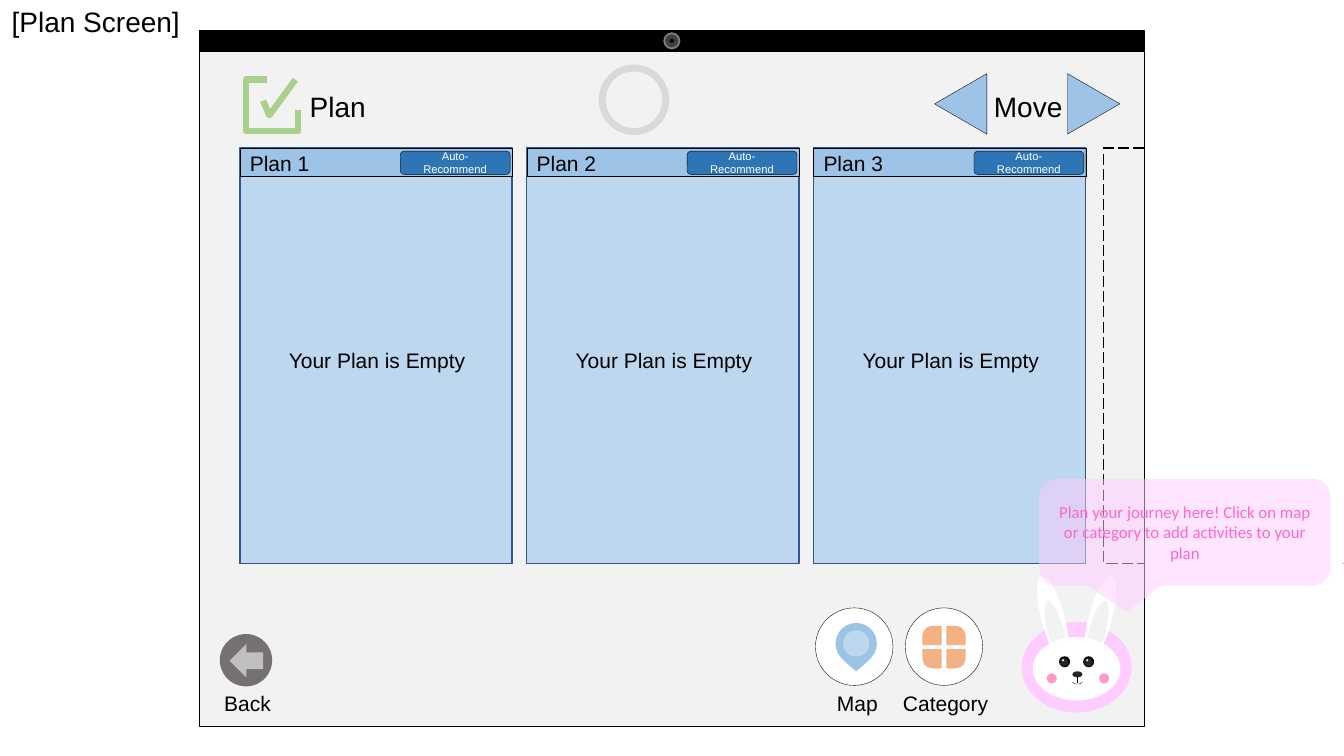
from dataclasses import dataclass

from lxml import etree
from pptx import Presentation
from pptx.dml.color import RGBColor
from pptx.enum.dml import MSO_LINE
from pptx.enum.shapes import MSO_CONNECTOR, MSO_SHAPE
from pptx.enum.text import MSO_ANCHOR, PP_ALIGN
from pptx.oxml.ns import qn
from pptx.util import Pt

RECT = MSO_SHAPE.RECTANGLE
OVAL = MSO_SHAPE.OVAL
ROUNDED = MSO_SHAPE.ROUNDED_RECTANGLE
TRIANGLE = MSO_SHAPE.ISOSCELES_TRIANGLE
LEFT_ARROW = MSO_SHAPE.LEFT_ARROW
ARC = MSO_SHAPE.ARC
TILE = MSO_SHAPE.ROUND_1_RECTANGLE
TEARDROP = MSO_SHAPE.TEAR
CALLOUT = MSO_SHAPE.ROUNDED_RECTANGULAR_CALLOUT
STRAIGHT = MSO_CONNECTOR.STRAIGHT
LONG_DASH = MSO_LINE.LONG_DASH
LEFT, CENTER = PP_ALIGN.LEFT, PP_ALIGN.CENTER
MIDDLE = MSO_ANCHOR.MIDDLE


@dataclass(frozen=True)
class Theme:
    black: str = "000000"
    white: str = "FFFFFF"
    screen: str = "F2F2F2"
    lens_rim: str = "808080"
    lens: str = "404040"
    dark: str = "262626"
    ring: str = "D9D9D9"
    green: str = "A9D18E"
    blue: str = "9DC3E6"
    pale_blue: str = "BDD7EE"
    deep_blue: str = "2E75B6"
    panel_edge: str = "325491"
    back: str = "767171"
    back_arrow: str = "BFBFBF"
    orange: str = "F4B183"
    pink: str = "FFCCFF"
    cheek: str = "FF99CC"
    speech: str = "FF66CC"
    font: str = "Arial"
    speech_font: str = "Calibri"
    heading: int = 20
    body: int = 15
    speech_size: int = 12
    button: int = 8
    hairline: float = 0.25
    outline: int = 1
    icon_line: float = 4.5


class Board:
    def __init__(self, slide, theme):
        self.shapes = slide.shapes
        self.theme = theme

    def style(self, shape, fill, line, width, dash=None):
        shape.shadow.inherit = False
        if fill:
            shape.fill.solid()
            shape.fill.fore_color.rgb = RGBColor.from_string(fill)
        else:
            shape.fill.background()
        if line:
            shape.line.color.rgb = RGBColor.from_string(line)
            shape.line.width = Pt(width)
            if dash:
                shape.line.dash_style = dash
        else:
            shape.line.fill.background()

    def box(self, kind, left, top, width, height, fill=None, line=None,
            weight=None, dash=None, turn=0, adjust=()):
        shape = self.shapes.add_shape(kind, Pt(left), Pt(top), Pt(width), Pt(height))
        self.style(shape, fill, line, weight or self.theme.hairline, dash)
        shape.rotation = turn
        for index, value in enumerate(adjust):
            shape.adjustments[index] = value
        return shape

    def centered(self, x, y, width, height, fill=None, kind=OVAL, **options):
        return self.box(kind, x - width / 2, y - height / 2, width, height, fill, **options)

    def disc(self, x, y, size, fill, **options):
        return self.centered(x, y, size, size, fill, **options)

    def set_text(self, shape, words, size, color, font=None, align=CENTER):
        shape.text_frame.word_wrap = True
        paragraph = shape.text_frame.paragraphs[0]
        paragraph.text = words
        paragraph.alignment = align
        paragraph.font.size = Pt(size)
        paragraph.font.name = font or self.theme.font
        paragraph.font.color.rgb = RGBColor.from_string(color)

    def label(self, words, left, top, width, size, align=CENTER):
        height = size * 1.2 + 7.5
        area = self.shapes.add_textbox(Pt(left), Pt(top), Pt(width), Pt(height))
        self.set_text(area, words, size, self.theme.black, align=align)

    def filled_label(self, shape, words, size, color, font=None):
        shape.text_frame.vertical_anchor = MIDDLE
        self.set_text(shape, words, size, color, font)

    def rule(self, x, top, bottom):
        line = self.shapes.add_connector(STRAIGHT, Pt(x), Pt(top), Pt(x), Pt(bottom))
        line.line.color.rgb = RGBColor.from_string(self.theme.black)
        line.line.width = Pt(self.theme.hairline)
        etree.SubElement(line._element.spPr, qn("a:effectLst"))

    def stroke(self, points, color, width):
        start, *rest = [(Pt(x), Pt(y)) for x, y in points]
        builder = self.shapes.build_freeform(*start)
        builder.add_line_segments(rest, close=False)
        self.style(builder.convert_to_shape(), None, color, width)

    def fade(self, shape, percent):
        color = shape._element.spPr.find(qn("a:solidFill"))[0]
        etree.SubElement(color, qn("a:alpha")).set("val", str(percent * 1000))


def draw_tablet(board):
    t = board.theme
    board.box(RECT, 142.6, 36.7, 674.6, 481.7, t.screen, t.black)
    board.box(RECT, 142.6, 21.6, 674.6, 14.4, t.black, t.black, t.outline)
    for size, fill in ((12.2, t.lens_rim), (9.4, t.lens), (2.9, t.black)):
        board.disc(479.9, 29.2, size, fill)
    board.label("[Plan Screen]", -13.7, 0, 164.2, t.heading)


def draw_rabbit(board):
    t = board.theme
    x = 769
    board.centered(x, 476.6, 78.5, 64.8, t.pink)
    for side in (-1, 1):
        board.centered(x + side * 16.9, 441.7, 16.6, 62.6, t.white, turn=side * 15)
        board.centered(x + side * 14.8, 451.1, 11.5, 45.4, t.screen, turn=side * 15)
    board.centered(x, 477.7, 62.6, 45.4, t.white)
    for side in (-1, 1):
        eye = x + side * 8.6
        board.disc(eye, 472.7, 7.9, t.black)
        board.disc(eye - 0.3, 473, 5.8, t.dark)
        board.disc(eye - 1, 471.6, 1.4, t.white)
        board.disc(x + 1 + side * 18.7, 484.6, 7.2, t.cheek)
    board.centered(x + 0.6, 481.7, 7.2, 4.3, t.dark)
    board.rule(x + 0.6, 483.8, 488.2)
    board.disc(x + 0.6, 483.8, 10, None, kind=ARC, line=t.black, turn=135)


def draw_header(board):
    t = board.theme
    board.stroke([(190.8, 56.9), (175.7, 56.9), (175.7, 93.8), (213.1, 93.8),
                  (213.1, 78.5)], t.green, t.icon_line)
    board.stroke([(187.9, 72), (192.4, 82.4), (211, 56.9)], t.green, t.icon_line)
    board.label("Plan", 171.4, 60.5, 139.7, t.heading)
    for x, turn in ((781.2, 90), (686.2, 270)):
        board.centered(x, 74.2, 43.2, 37.4, t.blue, kind=TRIANGLE, line=t.black, turn=turn)
    board.label("Move", 693.4, 60.5, 82.1, t.heading)


def draw_plans(board):
    t = board.theme
    top, width, height = 105.8, 194.4, 296.6
    for number in range(3):
        left = 171.4 + number * 204.9
        board.box(RECT, left, top, width, height, t.pale_blue, t.panel_edge, t.outline)
        board.box(RECT, left, top, width, 20.2, t.blue, t.black)
        board.label(f"Plan {number + 1}", left, 103.7, 139.7, t.body, LEFT)
        board.label("Your Plan is Empty", left + 0.8, 244.8, width, t.body)
        recommend = board.box(ROUNDED, left + 114.5, 108, 78.5, 16.6, t.deep_blue, t.black)
        board.filled_label(recommend, "Auto-Recommend", t.button, t.white)
    board.box(RECT, 788.4, top, width, height, None, t.black, t.outline, LONG_DASH)
    for margin, edge in ((817.2, 817.2), (0, 142.6)):
        board.box(RECT, margin, 90.7, 142.6, 341.3, t.white)
        board.rule(edge, 60.5, 468.7)
    for size, fill in ((50.4, t.ring), (40.3, t.screen)):
        board.disc(452.9, 71.3, size, fill)


def draw_navigation(board):
    t = board.theme
    board.disc(175.7, 471.6, 37.4, t.back)
    board.disc(176, 472, 23.8, t.back_arrow, kind=LEFT_ARROW)
    for x in (610.2, 674.3):
        board.disc(x, 461.9, 55.4, t.white, line=t.black)
    for dx, dy, turn in ((1, -1, 0), (1, 1, 90), (-1, 1, 180), (-1, -1, 270)):
        board.disc(674.3 + dx * 8.6, 462.2 + dy * 8.3, 13.7, t.orange,
                   kind=TILE, turn=turn, adjust=(0.5,))
    board.disc(611.6, 459.7, 29.5, t.blue, kind=TEARDROP, turn=135, adjust=(0.95,))
    board.disc(611.6, 459.7, 18.7, t.pale_blue)
    for name, x, width in (("Back", 176.8, 49.7), ("Map", 612.4, 49.7),
                           ("Category", 675.4, 83.5)):
        board.label(name, x - width / 2, 489.6, width, t.body)


def draw_speech(board):
    t = board.theme
    bubble = board.box(CALLOUT, 742.3, 342, 208.1, 76.3, t.pink, adjust=(-0.2, 0.75, 0.17))
    board.fade(bubble, 50)
    board.filled_label(
        bubble, "Plan your journey here! Click on map or category to add activities to your plan",
        t.speech_size, t.speech, t.speech_font)


def main():
    deck = Presentation()
    deck.slide_width, deck.slide_height = Pt(960), Pt(540)
    board = Board(deck.slides.add_slide(deck.slide_layouts[6]), Theme())
    for draw in (draw_tablet, draw_rabbit, draw_header, draw_plans,
                 draw_navigation, draw_speech):
        draw(board)
    deck.save("out.pptx")


if __name__ == "__main__":
    main()
